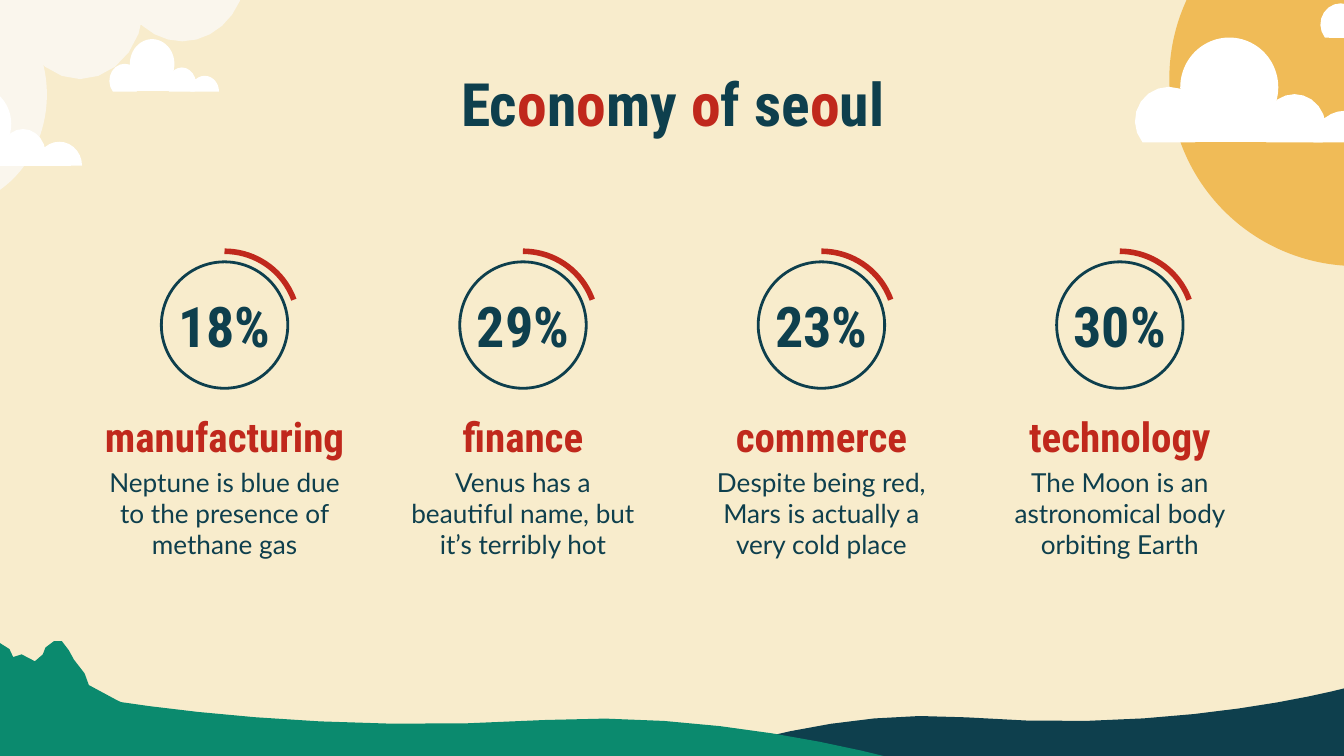
from dataclasses import dataclass
from itertools import groupby
from math import asin, cos, pi, sin

from lxml.etree import SubElement
from pptx import Presentation
from pptx.dml.color import RGBColor
from pptx.enum.shapes import MSO_SHAPE as Preset
from pptx.enum.text import MSO_ANCHOR as Anchor, MSO_AUTO_SIZE as AutoSize, PP_ALIGN as Align
from pptx.oxml.ns import qn
from pptx.util import Cm, Pt


@dataclass(frozen=True)
class Theme:
    sand: str = "F8ECCC"
    haze: str = "FAF6ED"
    white: str = "FFFFFF"
    sun: str = "F0BB57"
    navy: str = "0E3F4D"
    green: str = "0B8A6E"
    red: str = "C0281C"
    display: str = "Roboto Condensed"
    text: str = "Lato"
    title_size: int = 32
    number_size: int = 30
    label_size: int = 22
    body_size: int = 14


THEME = Theme()
TITLE_FONT = {"name": THEME.display, "size": Pt(THEME.title_size), "bold": True}
NUMBER_FONT = {**TITLE_FONT, "size": Pt(THEME.number_size)}
LABEL_FONT = {**TITLE_FONT, "size": Pt(THEME.label_size)}
BODY_FONT = {"name": THEME.text, "size": Pt(THEME.body_size), "bold": False}

SLIDE_WIDTH, SLIDE_HEIGHT = 25.4, 14.29

SECTORS = [
    ("18%", "manufacturing", "Neptune is blue due to the presence of methane gas"),
    ("29%", "finance", "Venus has a beautiful name, but it’s terribly hot"),
    ("23%", "commerce", "Despite being red, Mars is actually a very cold place"),
    ("30%", "technology", "The Moon is an astronomical body orbiting Earth"),
]

# Left, top, right and bottom of each part, as shares of the cloud's box
CLOUD_PUFF = (0.22, 0, 0.61, 0.95)
CLOUD_LOBES = [(0.75, 0.7, 1, 1.3), (0.55, 0.54, 0.8, 1.18), (0.04, 0.47, 0.31, 1.12)]
CLOUD_BASE = [(0.1, 0.77), (0.94, 0.77), (0.94, 1), (0.1, 1)]

ROCK = [
    (-2.69, 14.58), (-2.69, 13.44), (-1.42, 12.09), (-0.84, 11.81), (-0.23, 12.01),
    (0.18, 12.27), (0.25, 12.42), (0.41, 12.37), (0.66, 12.5), (0.81, 12.37),
    (0.86, 12.24), (1.02, 12.12), (1.17, 12.12), (1.3, 12.29), (1.4, 12.47),
    (1.6, 12.73), (1.68, 12.95), (2.2, 13.23), (2.84, 13.54), (2.84, 14.58),
]


def box_cm(*lengths):
    return [Cm(length) for length in lengths]


def paint(shape, fill=None, line=None, width=0):
    shape.shadow.inherit = False
    for part, color in ((shape.fill, fill), (shape.line.fill, line)):
        if color:
            part.solid()
            part.fore_color.rgb = RGBColor.from_string(color)
        else:
            part.background()
    if line:
        shape.line.width = Pt(width)


def add_outline(slide, points, color):
    start, *rest = [(Cm(x), Cm(y)) for x, y in points]
    builder = slide.shapes.build_freeform(*start)
    builder.add_line_segments(rest, close=True)
    paint(builder.convert_to_shape(), color)


def add_oval(slide, box, **colors):
    paint(slide.shapes.add_shape(Preset.OVAL, *box_cm(*box)), **colors)


def curve(start, first, second, end, steps=10):
    """Points along a cubic Bézier curve."""
    for step in range(steps + 1):
        t = step / steps
        weights = ((1 - t) ** 3, 3 * t * (1 - t) ** 2, 3 * t * t * (1 - t), t ** 3)
        yield tuple(sum(w * point[axis] for w, point in zip(weights, (start, first, second, end)))
                    for axis in (0, 1))


def lobe_points(left, top, right, bottom, steps=14):
    """The arc of an ellipse that rises above the cloud's flat base."""
    center, radius = (top + bottom) / 2, (bottom - top) / 2
    dip = asin((1 - center) / radius)
    for step in range(steps + 1):
        angle = dip - (pi + 2 * dip) * step / steps
        yield (left + right + (right - left) * cos(angle)) / 2, center + radius * sin(angle)


def add_cloud(slide, box, color, upside_down=False):
    """Draws the parts of a cloud that reach into the slide."""
    left, top, width, height = box
    puff_left, puff_top, puff_right, puff_bottom = CLOUD_PUFF
    puff = [(puff_left, puff_top), (puff_right, puff_bottom)]
    for part in [puff, CLOUD_BASE, *(lobe_points(*lobe) for lobe in CLOUD_LOBES)]:
        points = [(left + x * width, top + (1 - y if upside_down else y) * height)
                  for x, y in part]
        xs, ys = zip(*points)
        if max(xs) <= 0 or min(xs) >= SLIDE_WIDTH or max(ys) <= 0:
            continue
        if part is puff:
            add_oval(slide, (min(xs), min(ys), max(xs) - min(xs), max(ys) - min(ys)), fill=color)
        else:
            add_outline(slide, points, color)


def add_hill(slide, start, slope, crest, rise, end, corner, color):
    points = [*curve(start, start, slope, crest), *curve(crest, rise, end, end), corner]
    add_outline(slide, points, color)


def add_scenery(slide):
    add_cloud(slide, (-5, -0.56, 9.65, 4.47), THEME.haze, upside_down=True)
    add_hill(slide, (25.53, 12.98), (22.3, 13.89), (18.26, 13.56), (15.32, 13.34),
             (12.4, 14.58), (25.53, 14.58), THEME.navy)
    add_outline(slide, ROCK, THEME.green)
    add_hill(slide, (1.04, 13.06), (5.16, 13.94), (10.31, 13.61), (14.1, 13.39),
             (17.83, 14.6), (1.04, 14.6), THEME.green)
    add_oval(slide, (22.1, -2.06, 7.09, 7.09), fill=THEME.sun)
    for box in ((-1.88, 1.63, 3.43, 1.5), (1.98, 0.74, 2.16, 0.99),
                (21.26, 0.71, 4.75, 1.98), (24.84, -0.51, 2.85, 1.22)):
        add_cloud(slide, box, THEME.white)


def write(shape, box, runs, font, anchor, wrap=True):
    """Places a text shape and fills its one paragraph with (text, colour) runs."""
    shape.left, shape.top, shape.width, shape.height = box_cm(*box)
    frame = shape.text_frame
    frame_format = {"auto_size": AutoSize.NONE, "word_wrap": wrap, "vertical_anchor": anchor}
    frame_format.update(dict.fromkeys(
        ("margin_left", "margin_top", "margin_right", "margin_bottom"), Cm(0.25)))
    for name, value in frame_format.items():
        setattr(frame, name, value)
    paragraph = frame.paragraphs[0]
    properties = paragraph._p.get_or_add_pPr()
    properties.set("marL", "0")
    properties.set("indent", "0")
    SubElement(properties, qn("a:buNone"))
    paragraph.alignment = Align.CENTER
    paragraph.space_before = Pt(0)
    for text, color in runs:
        run = paragraph.add_run()
        run.text = text
        for name, value in font.items():
            setattr(run.font, name, value)
        run.font.color.rgb = RGBColor.from_string(color)


def add_title(slide, box, text):
    """Sets the title with every letter o in red."""
    runs = [("".join(letters), THEME.red if is_o else THEME.navy)
            for is_o, letters in groupby(text, lambda letter: letter == "o")]
    write(slide.shapes.title, box, runs, TITLE_FONT, Anchor.MIDDLE)


def add_sector(slide, box, sector, body):
    left, top, width, height = box
    number, label, description = sector
    ring, arc_size = 2.39, 2.79
    ring_left = left + (width - ring) / 2
    arc_left = left + (width - arc_size) / 2
    add_oval(slide, (ring_left, top + 0.2, ring, ring), line=THEME.navy, width=1.5)
    arc = slide.shapes.add_shape(Preset.ARC, *box_cm(arc_left, top, arc_size, arc_size))
    arc.adjustments[0], arc.adjustments[1] = 162, 203.96
    paint(arc, line=THEME.red, width=3)

    def text_box():
        return slide.shapes.add_textbox(0, 0, 0, 0)

    write(text_box(), (ring_left, top + 0.74, ring, 1.32), [(number, THEME.navy)],
          NUMBER_FONT, Anchor.MIDDLE, wrap=False)
    write(text_box(), (left, top + 2.79, width, 1.42), [(label, THEME.red)],
          LABEL_FONT, Anchor.BOTTOM, wrap=False)
    write(body, (left, top + 3.81, width, height - 3.81), [(description, THEME.navy)],
          BODY_FONT, Anchor.TOP)


def main():
    presentation = Presentation()
    presentation.slide_width, presentation.slide_height = Cm(SLIDE_WIDTH), Cm(SLIDE_HEIGHT)
    comparison_layout = presentation.slide_layouts[4]
    slide = presentation.slides.add_slide(comparison_layout)
    background = slide.background.fill
    background.solid()
    background.fore_color.rgb = RGBColor.from_string(THEME.sand)

    add_scenery(slide)
    add_title(slide, (2.9, 1.14, 19.63, 1.6), "Economy of seoul")
    bodies = list(slide.placeholders)[1:]
    for index, (sector, body) in enumerate(zip(SECTORS, bodies)):
        add_sector(slide, (1.73 + 5.64 * index, 4.75, 5.03, 6.83), sector, body)
    presentation.save("out.pptx")


if __name__ == "__main__":
    main()
